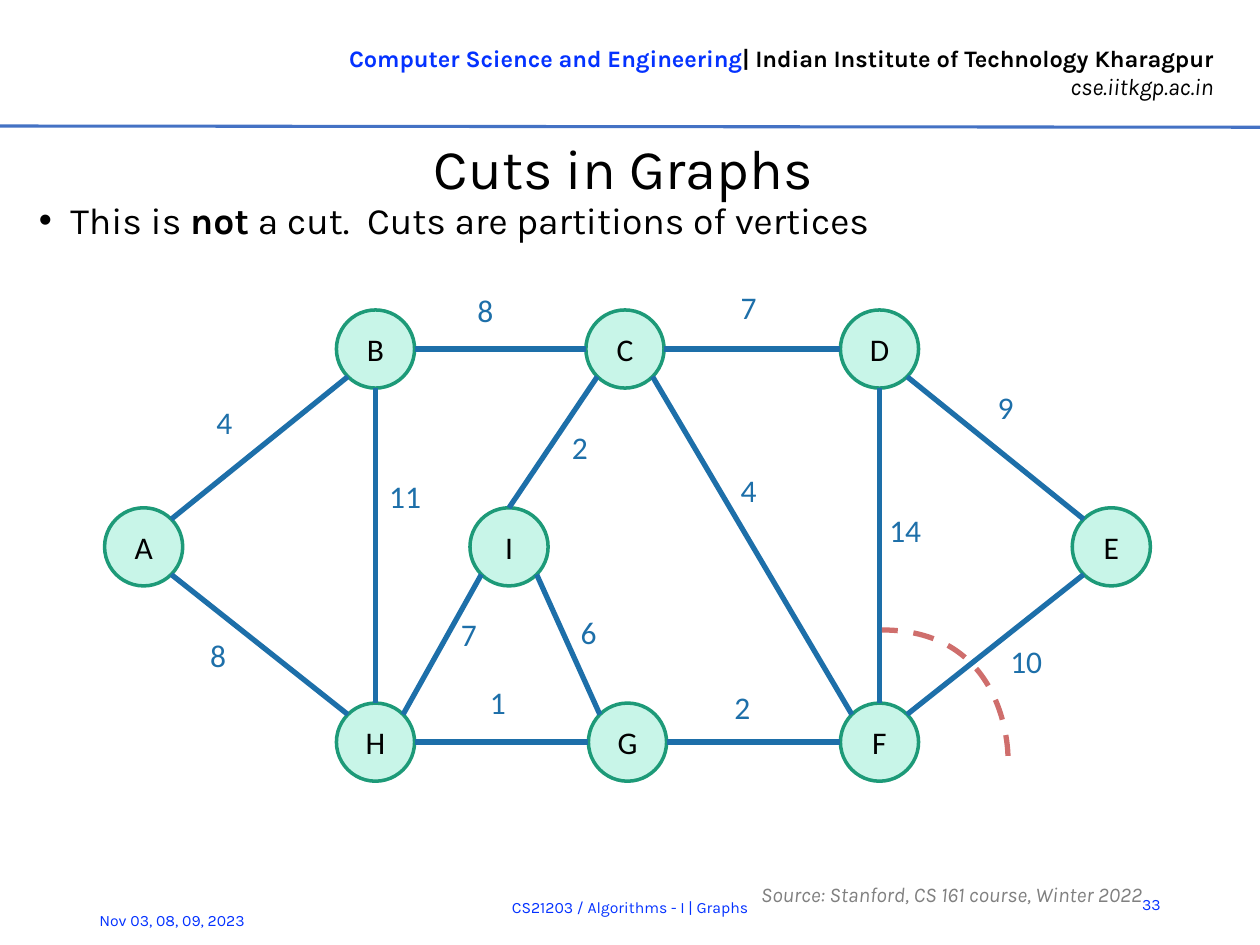
from math import cos, sin, radians
from lxml import etree
from pptx import Presentation
from pptx.dml.color import RGBColor
from pptx.enum.dml import MSO_LINE
from pptx.enum.shapes import MSO_CONNECTOR as Conn, MSO_SHAPE as Shape
from pptx.enum.text import MSO_ANCHOR as Anchor, MSO_AUTO_SIZE as Auto, PP_ALIGN as Align
from pptx.oxml.ns import qn
from pptx.util import Inches, Pt

BLACK = RGBColor(0x00, 0x00, 0x00)
BLUE = RGBColor(0x04, 0x32, 0xFF)
GRAY = RGBColor(0x80, 0x80, 0x80)
RULE = RGBColor(0x44, 0x72, 0xC4)
MINT = RGBColor(0xC8, 0xF5, 0xE8)
GREEN = RGBColor(0x1D, 0x9A, 0x78)
EDGE = RGBColor(0x1D, 0x6F, 0xA9)
RED = RGBColor(0xCF, 0x6E, 0x6C)

prs = Presentation()
prs.slide_width, prs.slide_height = Inches(10), Inches(7.5)
shapes = prs.slides.add_slide(prs.slide_layouts[6]).shapes


def add_text(box, words, size, color, face="Karla", align=Align.LEFT, anchor=Anchor.TOP):
    """Add a text box whose lines are lists of runs."""
    frame = shapes.add_textbox(*[Inches(v) for v in box]).text_frame
    frame.word_wrap = True
    frame.vertical_anchor = anchor
    for i, line in enumerate(words):
        para = frame.paragraphs[0] if i == 0 else frame.add_paragraph()
        para.alignment = align
        for part in line:
            run = para.add_run()
            run.text = part
            run.font.size, run.font.name = Pt(size), face
            run.font.color.rgb = color
    return frame


def add_line(x1, y1, x2, y2, color, width):
    """Add a straight line without a shadow."""
    line = shapes.add_connector(Conn.STRAIGHT, *[Inches(v) for v in (x1, y1, x2, y2)])
    line.line.color.rgb, line.line.width = color, Pt(width)
    etree.SubElement(line._element.spPr, qn("a:effectLst"))
    return line


# Header
head = add_text((2.65, 0.3, 7.08, 0.56),
                [["Computer Science and Engineering",
                  "| Indian Institute of Technology Kharagpur"],
                 ["cse.iitkgp.ac.in"]], 13.5, BLACK, align=Align.RIGHT)
head.word_wrap = False
for run in head.paragraphs[0].runs:
    run.font.bold = True
head.paragraphs[0].runs[0].font.color.rgb = BLUE
head.paragraphs[1].runs[0].font.italic = True
add_line(0, 1, 10, 1.01, RULE, 1.75)

# Title
title = add_text((0.32, 1.05, 9.26, 0.55), [["Cuts in Graphs"]], 32, BLACK,
                 align=Align.CENTER, anchor=Anchor.MIDDLE)
title.margin_left = title.margin_right = title.margin_bottom = 0
title.margin_top = Inches(0.01)

# Bullet
body = add_text((0.21, 1.54, 9.37, 0.88),
                [["This is ", "not", " a cut.  Cuts are partitions of vertices"]], 21.3, BLACK)
para = body.paragraphs[0]
para.line_spacing, para.space_after = Pt(24), Pt(4)
props = para._p.get_or_add_pPr()
props.set("marL", str(Inches(0.25)))
props.set("indent", str(-Inches(0.25)))
etree.SubElement(props, qn("a:buFont")).set("typeface", "Arial")
etree.SubElement(props, qn("a:buChar")).set("char", "•")
para.runs[1].font.bold = True

# Footer
for box, words, align in [
    ((0.69, 7.1, 1.75, 0.4), "Nov 03, 08, 09, 2023", Align.LEFT),
    ((1.65, 7, 6.7, 0.4), "CS21203 / Algorithms - I | Graphs", Align.CENTER),
    ((8.82, 6.98, 0.49, 0.4), "33", Align.RIGHT),
]:
    add_text(box, [[words]], 9, BLUE, align=align, anchor=Anchor.MIDDLE)
credit = add_text((5.94, 6.93, 4.02, 0.23), [["Source: Stanford, CS 161 course, Winter 2022"]],
                  12, GRAY, anchor=Anchor.MIDDLE)
credit.paragraphs[0].line_spacing = Pt(21.3)
credit.paragraphs[0].runs[0].font.italic = True

# Vertices, by centre
R = 0.31
TOP, MID, LOW = 2.77, 4.34, 5.89
spots = {"A": (1.14, MID), "B": (2.98, TOP), "C": (4.96, TOP), "D": (6.98, TOP),
         "E": (8.82, MID), "F": (6.98, LOW), "G": (4.98, LOW), "H": (2.98, LOW),
         "I": (4.04, MID)}
nodes = {}
for name, (x, y) in spots.items():
    node = shapes.add_shape(Shape.OVAL, Inches(x - R), Inches(y - R), Inches(2 * R), Inches(2 * R))
    node.shadow.inherit = False
    node.fill.solid()
    node.fill.fore_color.rgb = MINT
    node.line.color.rgb, node.line.width = GREEN, Pt(2)
    frame = node.text_frame
    frame.text = name
    frame.vertical_anchor = Anchor.MIDDLE
    frame.paragraphs[0].alignment = Align.CENTER
    font = frame.paragraphs[0].runs[0].font
    font.size, font.name, font.color.rgb = Pt(18), "Calibri", BLACK
    nodes[name] = node

# Edges: vertex and site at each end, weight, label place.
# An oval has eight sites, 45 degrees apart, anticlockwise from the top.
edges = [
    ("C5", "F1", 4, 5.78, 3.69), ("C6", "D2", 7, 5.78, 2.24), ("E1", "D5", 9, 7.82, 3.03),
    ("E3", "F7", 10, 7.92, 5.05), ("D4", "F0", 14, 6.96, 4.01), ("I5", "G1", 6, 4.51, 4.82),
    ("G6", "F2", 2, 5.73, 5.41), ("I0", "C3", 2, 4.44, 3.35), ("B6", "C2", 8, 3.69, 2.26),
    ("A7", "B3", 4, 1.62, 3.15), ("A5", "H1", 8, 1.57, 5), ("G2", "H6", 1, 3.79, 5.37),
    ("I3", "H7", 7, 3.56, 4.83), ("H0", "B4", 11, 2.99, 3.74),
]
for start, end, weight, left, top in edges:
    ends = []
    for name, site in (start, end):
        x, y = spots[name]
        turn = radians(90 + 45 * int(site))
        ends += [x + R * cos(turn), y - R * sin(turn)]
    line = add_line(*ends, EDGE, 3)
    joints = line._element.nvCxnSpPr.cNvCxnSpPr
    for tag, (name, site) in (("a:stCxn", start), ("a:endCxn", end)):
        joint = etree.SubElement(joints, qn(tag))
        joint.set("id", str(nodes[name].shape_id))
        joint.set("idx", site)
    label = add_text((left, top, 0.86, 0.5), [[str(weight)]], 18, EDGE, "Calibri")
    label.auto_size = Auto.SHAPE_TO_FIT_TEXT

# Dashed curve: each three points after the first make one Bezier segment
curve = [(7.9, 5.81), (7.76, 5.59), (7.63, 5.38), (7.42, 5.22),
         (7.21, 5.07), (6.92, 4.97), (6.63, 4.88)]
pen = shapes.build_freeform(*curve[0], scale=Inches(1))
pen.add_line_segments(curve[1:], close=False)
arc = pen.convert_to_shape()
arc.shadow.inherit = False
arc.fill.background()
arc.line.color.rgb, arc.line.width = RED, Pt(3)
arc.line.dash_style = MSO_LINE.DASH
track = arc._element.find(".//" + qn("a:path"))
steps = track.findall(qn("a:lnTo"))
for i in range(0, len(steps), 3):
    bend = etree.SubElement(track, qn("a:cubicBezTo"))
    for step in steps[i:i + 3]:
        bend.append(step[0])
        track.remove(step)

prs.save("out.pptx")
